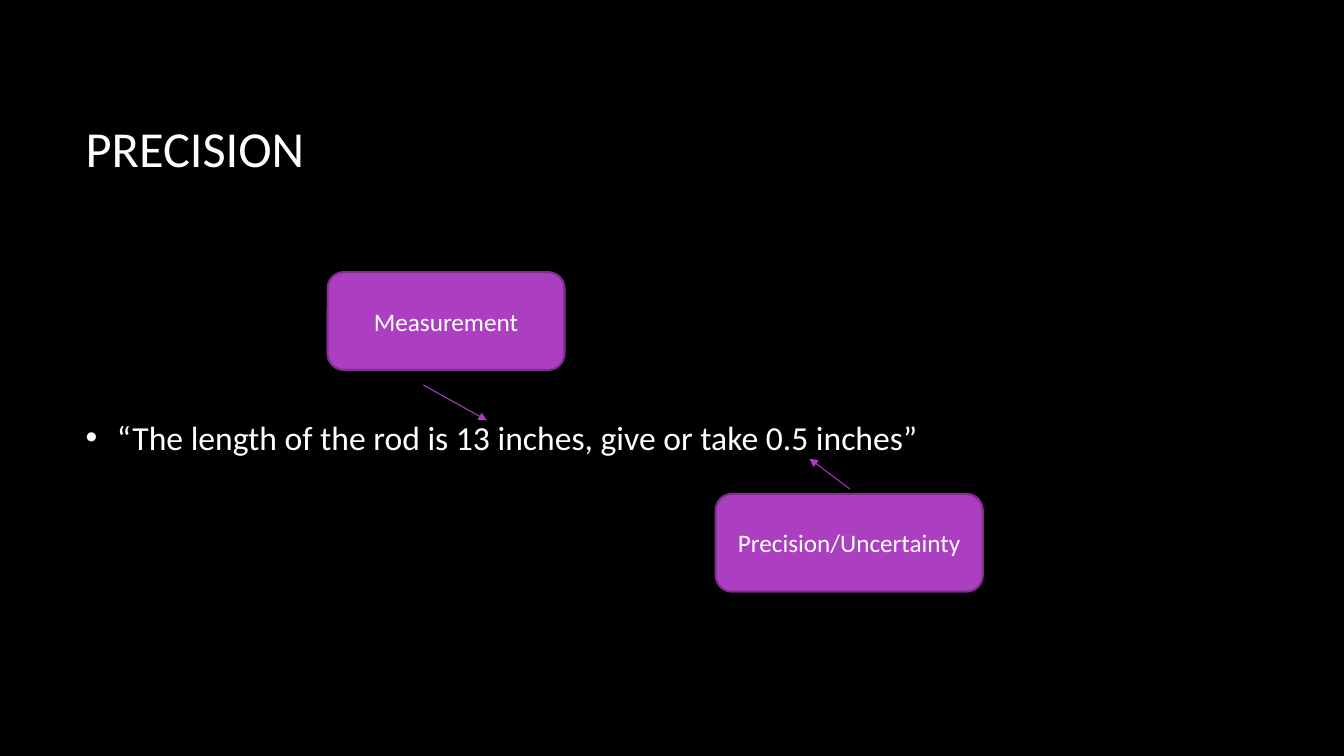
from dataclasses import dataclass

import lxml.etree
import pptx
import pptx.dml.color
import pptx.enum.shapes
import pptx.enum.text
import pptx.oxml.ns
import pptx.util

SLIDE_WIDTH = pptx.util.Inches(13.33)
SLIDE_HEIGHT = pptx.util.Inches(7.5)
COLUMNS, ROWS = 160, 90

BLACK, WHITE = "000000", "FFFFFF"
PURPLE, DARK_PURPLE = "AC3EC1", "7F2E8F"
FONT = "Calibri"


@dataclass
class Callout:
    label: str
    left: float
    top: float
    width: float
    arrow_start: tuple[float, float]
    arrow_end: tuple[float, float]
    height: float = 11.64


CALLOUTS = [
    Callout("Measurement", 39, 32.4, 28.2, (50.4, 45.84), (57.96, 50.04)),
    Callout("Precision/Uncertainty", 85.2, 58.8, 31.8, (101.16, 58.2), (96.36, 54.6)),
]


def column(count: float) -> int:
    return round(SLIDE_WIDTH * count / COLUMNS)


def row(count: float) -> int:
    return round(SLIDE_HEIGHT * count / ROWS)


def color(value: str) -> pptx.dml.color.RGBColor:
    return pptx.dml.color.RGBColor.from_string(value)


def add_xml(parent, tag: str, **attributes: str):
    return lxml.etree.SubElement(parent, pptx.oxml.ns.qn(tag), attributes)


def write(shape, text: str, size: int, alignment):
    frame = shape.text_frame
    frame.word_wrap = True
    frame.auto_size = pptx.enum.text.MSO_AUTO_SIZE.NONE
    frame.vertical_anchor = pptx.enum.text.MSO_ANCHOR.MIDDLE
    paragraph = frame.paragraphs[0]
    paragraph.alignment = alignment
    run = paragraph.add_run()
    run.text = text
    run.font.name = FONT
    run.font.size = pptx.util.Pt(size)
    run.font.color.rgb = color(WHITE)
    return paragraph


def place(shape, left: float, top: float, width: float, height: float) -> None:
    shape.left, shape.top = column(left), row(top)
    shape.width, shape.height = column(width), row(height)


def add_bullet(paragraph) -> None:
    paragraph.space_before = pptx.util.Pt(0)
    paragraph.space_after = pptx.util.Pt(10)
    properties = paragraph._p.get_or_add_pPr()
    indent = pptx.util.Inches(0.31)
    properties.set("marL", str(indent))
    properties.set("indent", str(-indent))
    bullet_color = add_xml(properties, "a:buClr")
    add_xml(bullet_color, "a:srgbClr", val=WHITE)
    add_xml(properties, "a:buFont", typeface="Arial")
    add_xml(properties, "a:buChar", char="•")


def draw_callout(slide, callout: Callout) -> None:
    box = slide.shapes.add_shape(
        pptx.enum.shapes.MSO_SHAPE.ROUNDED_RECTANGLE,
        column(callout.left), row(callout.top),
        column(callout.width), row(callout.height),
    )
    box.shadow.inherit = False
    box.fill.solid()
    box.fill.fore_color.rgb = color(PURPLE)
    box.line.color.rgb = color(DARK_PURPLE)
    box.line.width = pptx.util.Pt(1.5)
    write(box, callout.label, 18, pptx.enum.text.PP_ALIGN.CENTER)

    start_x, start_y = callout.arrow_start
    end_x, end_y = callout.arrow_end
    arrow = slide.shapes.add_connector(
        pptx.enum.shapes.MSO_CONNECTOR.STRAIGHT,
        column(start_x), row(start_y), column(end_x), row(end_y),
    )
    arrow.line.color.rgb = color(PURPLE)
    arrow.line.width = pptx.util.Pt(0.75)
    add_xml(arrow.line._get_or_add_ln(), "a:tailEnd", type="triangle")
    add_xml(arrow._element.spPr, "a:effectLst")


def main() -> None:
    presentation = pptx.Presentation()
    presentation.slide_width = SLIDE_WIDTH
    presentation.slide_height = SLIDE_HEIGHT
    slide = presentation.slides.add_slide(presentation.slide_layouts[1])
    slide.background.fill.solid()
    slide.background.fill.fore_color.rgb = color(BLACK)

    heading, statement = slide.placeholders
    place(heading, 9, 8, 133, 19)
    write(heading, "PRECISION", 36, pptx.enum.text.PP_ALIGN.LEFT)

    place(statement, 9, 28, 133, 48)
    rod_length = write(
        statement,
        "“The length of the rod is 13 inches, give or take 0.5 inches”",
        24,
        pptx.enum.text.PP_ALIGN.LEFT,
    )
    add_bullet(rod_length)

    for callout in CALLOUTS:
        draw_callout(slide, callout)

    presentation.save("out.pptx")


if __name__ == "__main__":
    main()
